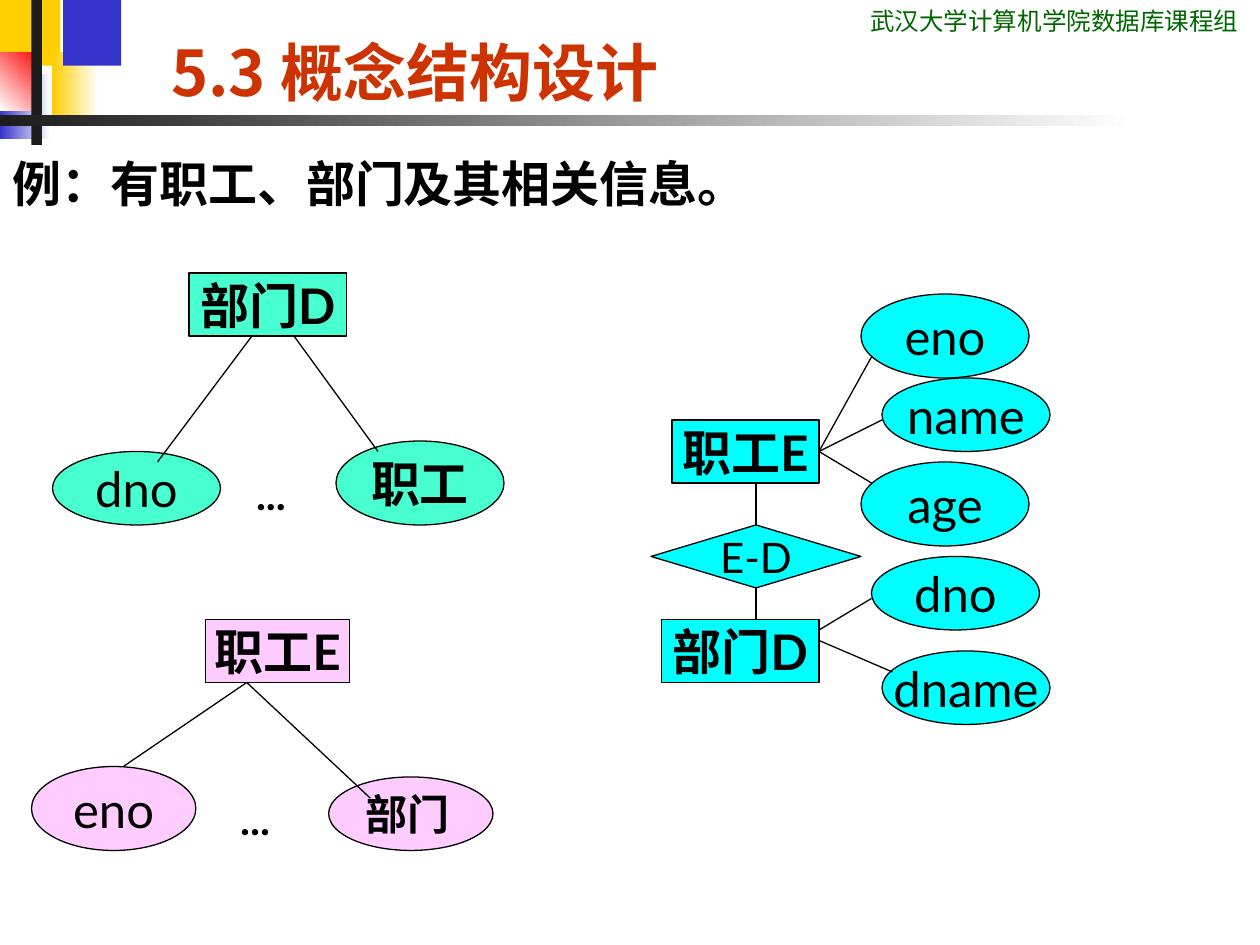
from dataclasses import dataclass, field
from typing import Optional

from lxml.etree import SubElement
from pptx import Presentation
from pptx.dml.color import RGBColor
from pptx.enum.shapes import MSO_CONNECTOR, MSO_SHAPE
from pptx.enum.text import MSO_ANCHOR, MSO_AUTO_SIZE, PP_ALIGN
from pptx.oxml.ns import qn
from pptx.util import Inches, Pt

COLORS = {
    "black": "000000", "white": "FFFFFF", "ink": "1C1C1C", "yellow": "FFCF01",
    "blue": "3333CC", "red": "FF0000", "green": "006600", "title": "CC3300",
    "cyan": "00FFFF", "mint": "47FFCF", "pink": "FFCCFF",
}
CELL = Inches(1) / 12  # the slide is 120 columns by 90 rows
RECT, OVAL, DIAMOND = MSO_SHAPE.RECTANGLE, MSO_SHAPE.OVAL, MSO_SHAPE.FLOWCHART_DECISION
LATIN, CHINESE = "Lato", "Noto Sans CJK SC"
TOP, BOTTOM, RIGHT = 0, 2, 3


@dataclass
class Node:
    """A labelled figure; box is left, top, width, height in cells."""
    text: str
    kind: MSO_SHAPE
    box: tuple
    bold: bool = False
    size: int = 28
    align: PP_ALIGN = PP_ALIGN.CENTER


@dataclass
class Link:
    """A line between two cell points, optionally joined to (node index, side)."""
    start: tuple
    end: tuple
    begin_at: Optional[tuple] = None
    end_at: Optional[tuple] = None


@dataclass
class Diagram:
    color: str
    nodes: list
    links: list
    dots: list = field(default_factory=list)  # boxes of the "..." labels


@dataclass
class Block:
    """A decorative block: one colour, or two with a gradient angle."""
    box: tuple
    colors: tuple
    angle: int = 180


def rgb(name: str) -> RGBColor:
    return RGBColor.from_string(COLORS[name])


def cells(values: tuple) -> list:
    return [round(value * CELL) for value in values]


def write(shape, text: str, size: int, color: str = "black", bold: bool = False,
          font: str = LATIN, align: PP_ALIGN = PP_ALIGN.LEFT, anchor=MSO_ANCHOR.TOP,
          wrap: bool = False) -> None:
    frame = shape.text_frame
    frame.text = text
    frame.word_wrap, frame.auto_size = wrap, MSO_AUTO_SIZE.NONE
    frame.vertical_anchor = anchor
    paragraph = frame.paragraphs[0]
    paragraph.alignment, paragraph.space_before = align, Pt(0)
    run = paragraph.runs[0]
    run.font.name, run.font.size, run.font.bold = font, Pt(size), bold
    run.font.color.rgb = rgb(color)
    SubElement(run._r.get_or_add_rPr(), qn("a:ea")).set("typeface", CHINESE)


def add_figure(shapes, kind: MSO_SHAPE, box: tuple, fill: str, outlined: bool = True):
    shape = shapes.add_shape(kind, *cells(box))
    shape.shadow.inherit = False
    shape.fill.solid()
    shape.fill.fore_color.rgb = rgb(fill)
    if outlined:
        shape.line.color.rgb, shape.line.width = rgb("black"), Pt(0.75)
    else:
        shape.line.fill.background()
    return shape


def add_block(shapes, block: Block) -> None:
    shape = add_figure(shapes, RECT, block.box, block.colors[0], outlined=False)
    if len(block.colors) == 2:
        shape.fill.gradient()
        shape.fill.gradient_angle = block.angle
        for stop, color in zip(shape.fill.gradient_stops, block.colors):
            stop.color.rgb = rgb(color)


def add_link(shapes, link: Link, figures: list) -> None:
    connector = shapes.add_connector(MSO_CONNECTOR.STRAIGHT, *cells(link.start + link.end))
    connector.line.color.rgb, connector.line.width = rgb("black"), Pt(0.75)
    SubElement(connector._element.spPr, qn("a:effectLst"))
    if link.begin_at:
        connector.begin_connect(figures[link.begin_at[0]], link.begin_at[1])
    if link.end_at:
        connector.end_connect(figures[link.end_at[0]], link.end_at[1])


def add_diagram(slide, diagram: Diagram) -> None:
    shapes = slide.shapes.add_group_shape().shapes
    figures = []
    for node in diagram.nodes:
        figure = add_figure(shapes, node.kind, node.box, diagram.color)
        write(figure, node.text, node.size, bold=node.bold, align=node.align,
              anchor=MSO_ANCHOR.MIDDLE)
        figures.append(figure)
    for link in diagram.links:
        add_link(shapes, link, figures)
    for box in diagram.dots:
        write(add_figure(shapes, RECT, box, "white", outlined=False), "...", 24, bold=True)


BLOCKS = [
    Block((0, 0, 5.75, 6.25), ("yellow",)),
    Block((5, 5, 4.35, 6.25), ("white", "yellow")),
    Block((6, 0, 5.55, 6.25), ("blue",)),
    Block((0, 7, 4.8, 6.25), ("white", "blue")),
    Block((0, 5, 4, 5.5), ("red", "white"), 225),
    Block((3, 0, 1, 13.8), ("ink",)),
    Block((0, 11, 108, 1), ("white", "ink")),
]

DIAGRAMS = [
    # Combined view: employee and department joined by a relationship
    Diagram("cyan", [
        Node("职工E", RECT, (64, 40, 14, 6), True),
        Node("E-D", DIAMOND, (62, 50, 20, 6), size=24),
        Node("部门D", RECT, (63, 59, 15, 6), True),
        Node("eno", OVAL, (82, 28, 16, 8)),
        Node("name", OVAL, (84, 36, 16, 7)),
        Node("age", OVAL, (82, 44, 16, 8)),
        Node("dno", OVAL, (83, 53, 16, 7)),
        Node("dname", OVAL, (84, 62, 16, 7)),
    ], [
        Link((72, 46), (72, 50), end_at=(1, TOP)),
        Link((72, 56), (72, 59), begin_at=(1, BOTTOM)),
        *[Link((78, 43), end, begin_at=(0, RIGHT)) for end in ((83, 34), (84, 40), (83, 46))],
        Link((78, 60), (83, 57)),
        Link((78, 61), (85, 64)),
    ]),
    # Department view
    Diagram("mint", [
        Node("部门D", RECT, (18, 26, 15, 6), True),
        Node("dno", OVAL, (5, 43, 16, 7)),
        Node("职工", OVAL, (32, 42, 16, 8), True),
    ], [Link((24, 32), (15, 44)), Link((28, 32), (36, 43))], [(23.2, 44, 5.75, 6)]),
    # Employee view
    Diagram("pink", [
        Node("职工E", RECT, (19.6, 59, 13.7, 6), True),
        Node("eno", OVAL, (3, 73, 15.65, 8)),
        Node("部门", OVAL, (31.3, 74, 15.65, 7), True, 24, PP_ALIGN.LEFT),
    ], [Link((23.5, 65), (11.75, 73)), Link((23.5, 65), (35.25, 76))], [(21.7, 75, 5.75, 6)]),
]


def main() -> None:
    presentation = Presentation()
    presentation.slide_width, presentation.slide_height = Inches(10), Inches(7.5)
    slide = presentation.slides.add_slide(presentation.slide_layouts[1])

    # Corner decoration and course header
    for block in BLOCKS:
        add_block(slide.shapes, block)
    header = slide.shapes.add_textbox(*cells((81.7, 0, 38.3, 4.1)))
    write(header, "武汉大学计算机学院数据库课程组", 14, "green", font="Roboto Condensed")

    # Title and example sentence
    title, body = slide.placeholders
    title.left, title.top, title.width, title.height = cells((15.1, 0, 81.9, 11))
    write(title, "5.3 概念结构设计", 36, "title", True, CHINESE,
          anchor=MSO_ANCHOR.BOTTOM, wrap=True)
    body.left, body.top, body.width, body.height = cells((0, 14, 71, 9))
    write(body, "例：有职工、部门及其相关信息。", 28, bold=True, wrap=True)
    properties = body.text_frame.paragraphs[0]._p.get_or_add_pPr()
    properties.set("marL", str(Inches(0.38)))
    properties.set("indent", str(-Inches(0.38)))
    SubElement(properties, qn("a:buNone"))

    # Entity-relationship diagrams
    for diagram in DIAGRAMS:
        add_diagram(slide, diagram)

    presentation.save("out.pptx")


if __name__ == "__main__":
    main()
